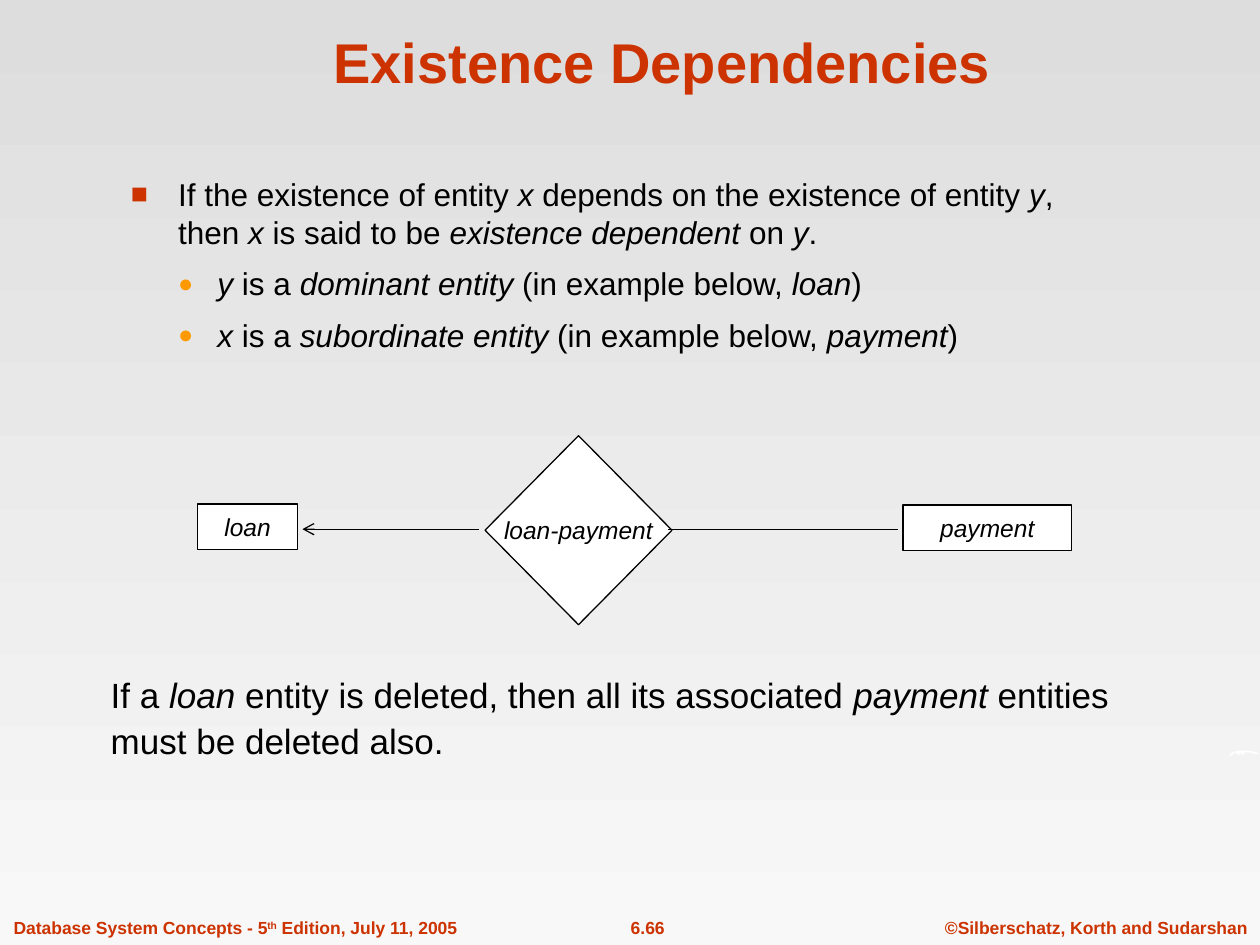
"""Build the slide on existence dependencies between entities."""
from lxml.etree import SubElement
from pptx import Presentation
from pptx.dml.color import RGBColor
from pptx.enum.shapes import MSO_CONNECTOR, MSO_SHAPE
from pptx.enum.text import MSO_ANCHOR, PP_ALIGN
from pptx.oxml.ns import qn
from pptx.util import Pt

RED = RGBColor(0xCC, 0x33, 0x00)
ORANGE = RGBColor(0xFF, 0x99, 0x00)
BLACK = RGBColor(0, 0, 0)
WHITE = RGBColor(0xFF, 0xFF, 0xFF)
BG_TOP = RGBColor(0xDD, 0xDD, 0xDD)
BG_BOTTOM = RGBColor(0xF8, 0xF8, 0xF8)


def add_runs(p, text, size, color=BLACK, bold=False):
    """Add runs to a paragraph; words between asterisks are italic."""
    for i, part in enumerate(text.split("*")):
        if part:
            r = p.add_run()
            r.text = part
            r.font.name = "Arial"
            r.font.size = Pt(size)
            r.font.bold = bold
            r.font.italic = i % 2 == 1
            r.font.color.rgb = color


def add_text(left, top, width, height, wrap=True):
    """Add a text box and return its text frame."""
    tf = s.shapes.add_textbox(Pt(left), Pt(top), Pt(width), Pt(height)).text_frame
    tf.word_wrap = wrap
    return tf


prs = Presentation()
prs.slide_width, prs.slide_height = Pt(720), Pt(540)
s = prs.slides.add_slide(prs.slide_layouts[5])

fill = s.background.fill
fill.gradient()
fill.gradient_angle = 270
for stop, color in zip(fill.gradient_stops, (BG_TOP, BG_BOTTOM)):
    stop.color.rgb = color

title = s.shapes.title
title.left, title.top, title.width, title.height = Pt(60.5), Pt(9.4), Pt(635.8), Pt(48.2)
tf = title.text_frame
tf.vertical_anchor = MSO_ANCHOR.BOTTOM
tf.paragraphs[0].alignment = PP_ALIGN.CENTER
add_runs(tf.paragraphs[0], "Existence Dependencies", 32, RED, True)

footers = [
    (0.7, 268.6, PP_ALIGN.LEFT, ["Database System Concepts - 5", "th", " Edition, July 11, 2005"]),
    (334.8, 70.6, PP_ALIGN.CENTER, ["6.66"]),
    (532.8, 187.2, PP_ALIGN.CENTER, ["©Silberschatz, Korth and Sudarshan"]),
]
for left, width, align, parts in footers:
    p = add_text(left, 520.6, width, 19.4, wrap=False).paragraphs[0]
    p.alignment = align
    for part in parts:
        add_runs(p, part, 10, RED, True)
        if part == "th":
            p.runs[-1]._r.get_or_add_rPr().set("baseline", "30000")

wisp = [
    (702, 432.5), (704, 430.2), (707, 429), (710, 428.6), (714, 429.2),
    (718, 430.2), (720, 430.8), (718, 431.2), (714, 430.4), (711, 430),
    (711.2, 431.8), (709.2, 430), (709.2, 432), (707.2, 430.2),
    (707.6, 432), (705.6, 430.5), (703, 431.8),
]
builder = s.shapes.build_freeform(*wisp[0], scale=Pt(1))
builder.add_line_segments(wisp[1:], close=True)
sp = builder.convert_to_shape()
sp.shadow.inherit = False
sp.fill.solid()
sp.fill.fore_color.rgb = WHITE
sp.line.fill.background()

bullets = [
    (0, "If the existence of entity *x* depends on the existence of entity *y*, "
        "then *x* is said to be *existence dependent *on *y*."),
    (1, "*y* is a *dominant entity* (in example below, *loan*)"),
    (1, "*x* is a *subordinate entity* (in example below, *payment*)"),
]
levels = [(27, 27, "■", RED, 90), (49.5, 22.5, "●", ORANGE, 80)]
tf = add_text(67.7, 96.5, 553.7, 125.3)
for i, (level, text) in enumerate(bullets):
    margin, hang, char, color, percent = levels[level]
    p = tf.add_paragraph() if i else tf.paragraphs[0]
    p.level = level
    if i:
        p.space_before = Pt(7.9)
    pPr = p._p.get_or_add_pPr()
    pPr.set("marL", str(Pt(margin)))
    pPr.set("indent", str(-Pt(hang)))
    SubElement(SubElement(pPr, qn("a:buClr")), qn("a:srgbClr")).set("val", str(color))
    SubElement(pPr, qn("a:buSzPct")).set("val", str(percent * 1000))
    SubElement(pPr, qn("a:buFont")).set("typeface", "Arial")
    SubElement(pPr, qn("a:buChar")).set("char", char)
    add_runs(p, text, 18)

nodes = [
    (MSO_SHAPE.DIAMOND, "loan-payment", 277.2, 249, 106.8, 108),
    (MSO_SHAPE.RECTANGLE, "payment", 516, 288.5, 96.5, 26),
    (MSO_SHAPE.RECTANGLE, "loan", 113, 288, 57, 26),
]
for kind, text, left, top, width, height in nodes:
    sp = s.shapes.add_shape(kind, Pt(left), Pt(top), Pt(width), Pt(height))
    sp.shadow.inherit = False
    sp.fill.solid()
    sp.fill.fore_color.rgb = WHITE
    sp.line.color.rgb = BLACK
    sp.line.width = Pt(0.75)
    tf = sp.text_frame
    tf.word_wrap = False
    tf.vertical_anchor = MSO_ANCHOR.MIDDLE
    tf.paragraphs[0].alignment = PP_ALIGN.CENTER
    add_runs(tf.paragraphs[0], f"*{text}*", 14)

for start, end, arrow in [(273.6, 172.8, True), (381.6, 513.4, False)]:
    line = s.shapes.add_connector(MSO_CONNECTOR.STRAIGHT, Pt(start), Pt(302.4), Pt(end), Pt(302.4))
    line.line.color.rgb = BLACK
    line.line.width = Pt(0.75)
    if arrow:
        SubElement(line.line._get_or_add_ln(), qn("a:tailEnd")).set("type", "arrow")
    SubElement(line._element.spPr, qn("a:effectLst"))

p = add_text(56.2, 378.7, 597.6, 64.8).paragraphs[0]
p.line_spacing = 1.1
add_runs(p, "If a *loan* entity is deleted, then all its associated* payment *entities must be deleted also.", 20)

prs.save("out.pptx")
